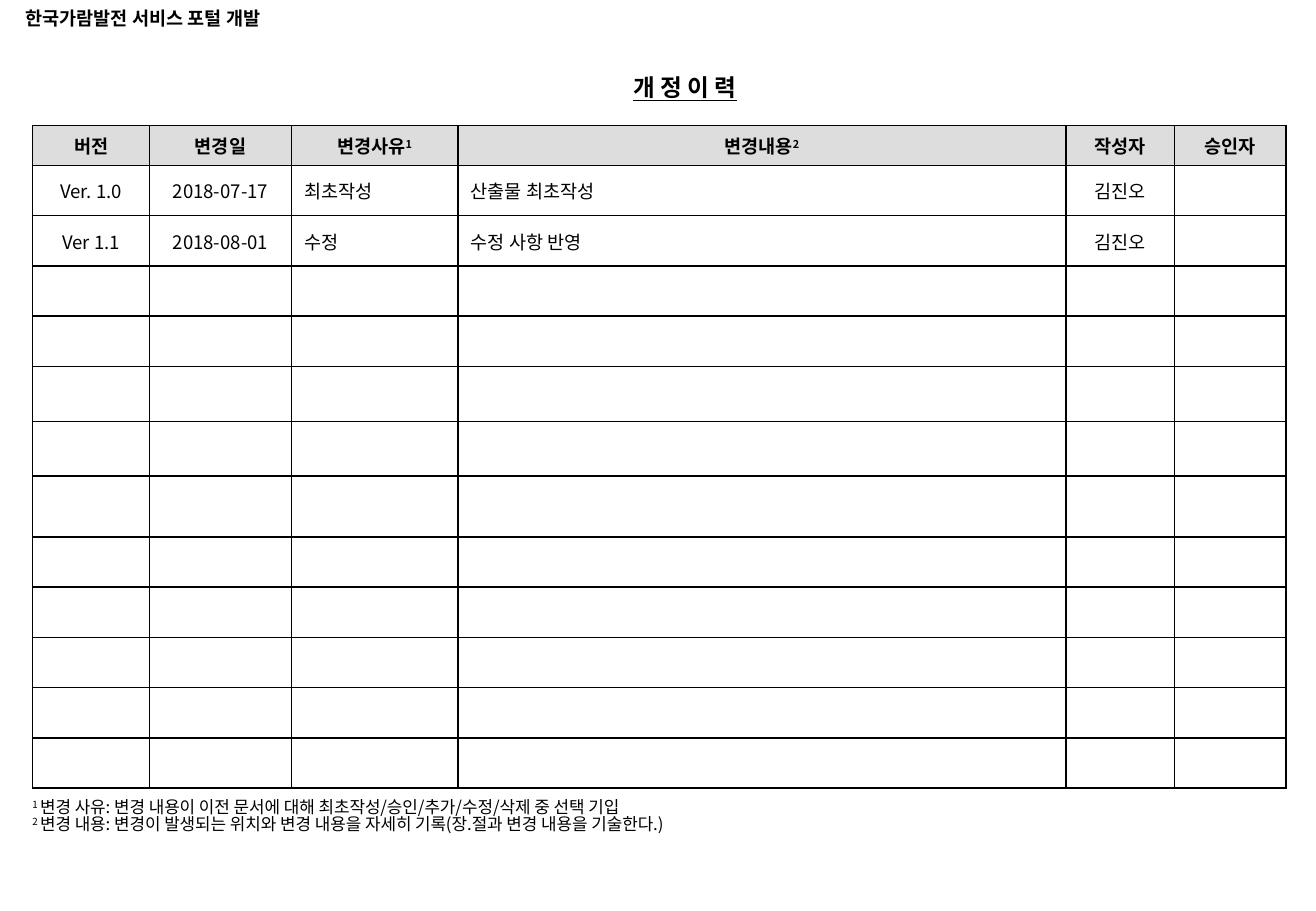
from dataclasses import dataclass

from lxml import etree
from pptx import Presentation
from pptx.dml.color import RGBColor
from pptx.enum.shapes import MSO_SHAPE
from pptx.enum.text import MSO_ANCHOR, PP_ALIGN
from pptx.oxml.ns import qn
from pptx.util import Cm, Pt

FONT = "Noto Sans CJK KR"
BLACK = RGBColor(0x00, 0x00, 0x00)
WHITE = RGBColor(0xFF, 0xFF, 0xFF)
GRAY = RGBColor(0xDD, 0xDD, 0xDD)
LEFT, CENTER = PP_ALIGN.LEFT, PP_ALIGN.CENTER
MIDDLE = MSO_ANCHOR.MIDDLE
RECTANGLE = MSO_SHAPE.RECTANGLE
TITLE_ONLY = 5


@dataclass(frozen=True)
class Column:
    heading: str
    width: float
    align: PP_ALIGN = CENTER
    note: str = ""


COLUMNS = [
    Column("버전", 2.45),
    Column("변경일", 2.96),
    Column("변경사유", 3.48, LEFT, "1"),
    Column("변경내용", 12.71, LEFT, "2"),
    Column("작성자", 2.27),
    Column("승인자", 2.33),
]
ROW_HEIGHTS = [0.83] + [1.05] * 4 + [1.15, 1.15, 1.27] + [1.05] * 5
REVISIONS = [
    ["Ver. 1.0", "2018-07-17", "최초작성", "산출물 최초작성", "김진오", ""],
    ["Ver 1.1", "2018-08-01", "수정", "수정 사항 반영", "김진오", ""],
]
FOOTNOTES = [
    ("1 ", "변경 사유: 변경 내용이 이전 문서에 대해 최초작성/승인/추가/수정/삭제 중 선택 기입"),
    ("2 ", "변경 내용: 변경이 발생되는 위치와 변경 내용을 자세히 기록(장.절과 변경 내용을 기술한다.)"),
]


def add_text(p, text: str, *, size: float = 11, bold: bool = False,
             underline: bool = False, raised: bool = False) -> None:
    r = p.add_run()
    r.text = text
    r.font.size = Pt(size)
    r.font.name = FONT
    r.font.bold = bold
    r.font.underline = underline
    r.font.color.rgb = BLACK
    rPr = r.font._element
    etree.SubElement(rPr, qn("a:ea"), typeface=FONT)
    if raised:
        rPr.set("baseline", "30000")


def set_frame(tf, anchor: MSO_ANCHOR = MIDDLE) -> None:
    tf.word_wrap = True
    tf.vertical_anchor = anchor
    tf.margin_left = tf.margin_right = Cm(0.25)
    tf.margin_top = tf.margin_bottom = Cm(0.13)


def set_borders(cell) -> None:
    tcPr = cell._tc.get_or_add_tcPr()
    for side in ("lnL", "lnR", "lnT", "lnB"):
        ln = etree.SubElement(tcPr, qn(f"a:{side}"), w=str(Pt(1)))
        fill = etree.SubElement(ln, qn("a:solidFill"))
        etree.SubElement(fill, qn("a:srgbClr"), val=str(BLACK))


def fill_cell(cell, text: str, align: PP_ALIGN, *, color: RGBColor = WHITE,
              bold: bool = False, note: str = "") -> None:
    set_borders(cell)
    cell.fill.solid()
    cell.fill.fore_color.rgb = color
    cell.vertical_anchor = MIDDLE
    cell.margin_left = cell.margin_right = Cm(0.27)
    cell.margin_top = cell.margin_bottom = Cm(0.13)
    p = cell.text_frame.paragraphs[0]
    p.alignment = align
    if text:
        add_text(p, text, bold=bold)
    else:
        etree.SubElement(p._p, qn("a:endParaRPr"), sz="1100")
    if note:
        add_text(p, note, bold=bold, raised=True)


def add_title(s) -> None:
    sp = s.shapes.title
    sp.left, sp.top, sp.width, sp.height = Cm(10.36), Cm(1.4), Cm(7.92), Cm(0.84)
    set_frame(sp.text_frame)
    p = sp.text_frame.paragraphs[0]
    p.alignment = CENTER
    add_text(p, "개 정 이 력", size=14, bold=True, underline=True)


def add_footnotes(s) -> None:
    sp = s.shapes.add_textbox(Cm(0.43), Cm(16.61), Cm(15.54), Cm(1.12))
    tf = sp.text_frame
    set_frame(tf, MSO_ANCHOR.TOP)
    for i, (mark, text) in enumerate(FOOTNOTES):
        p = tf.add_paragraph() if i else tf.paragraphs[0]
        p.line_spacing = 0.82
        add_text(p, mark, size=10, raised=True)
        add_text(p, text, size=10)


def add_history(s) -> None:
    frame = s.shapes.add_table(len(ROW_HEIGHTS), len(COLUMNS), Cm(0.68), Cm(2.63),
                               Cm(sum(c.width for c in COLUMNS)), Cm(sum(ROW_HEIGHTS)))
    table = frame.table
    table.first_row = table.horz_banding = False
    for row, height in zip(table.rows, ROW_HEIGHTS):
        row.height = Cm(height)
    for j, column in enumerate(COLUMNS):
        table.columns[j].width = Cm(column.width)
        fill_cell(table.cell(0, j), column.heading, CENTER,
                  color=GRAY, bold=True, note=column.note)
        for i in range(1, len(ROW_HEIGHTS)):
            text = REVISIONS[i - 1][j] if i <= len(REVISIONS) else ""
            fill_cell(table.cell(i, j), text, column.align)


def add_project_name(s) -> None:
    sp = s.shapes.add_shape(RECTANGLE, Cm(0.28), Cm(0), Cm(6.17), Cm(0.74))
    sp.shadow.inherit = False
    sp.fill.solid()
    sp.fill.fore_color.rgb = WHITE
    sp.line.fill.background()
    set_frame(sp.text_frame)
    p = sp.text_frame.paragraphs[0]
    p.alignment = LEFT
    add_text(p, "한국가람발전 서비스 포털 개발", bold=True)


def main() -> None:
    prs = Presentation()
    prs.slide_width, prs.slide_height = Cm(27.51), Cm(19.05)
    s = prs.slides.add_slide(prs.slide_layouts[TITLE_ONLY])
    add_title(s)
    add_footnotes(s)
    add_history(s)
    add_project_name(s)
    prs.save("out.pptx")


if __name__ == "__main__":
    main()
